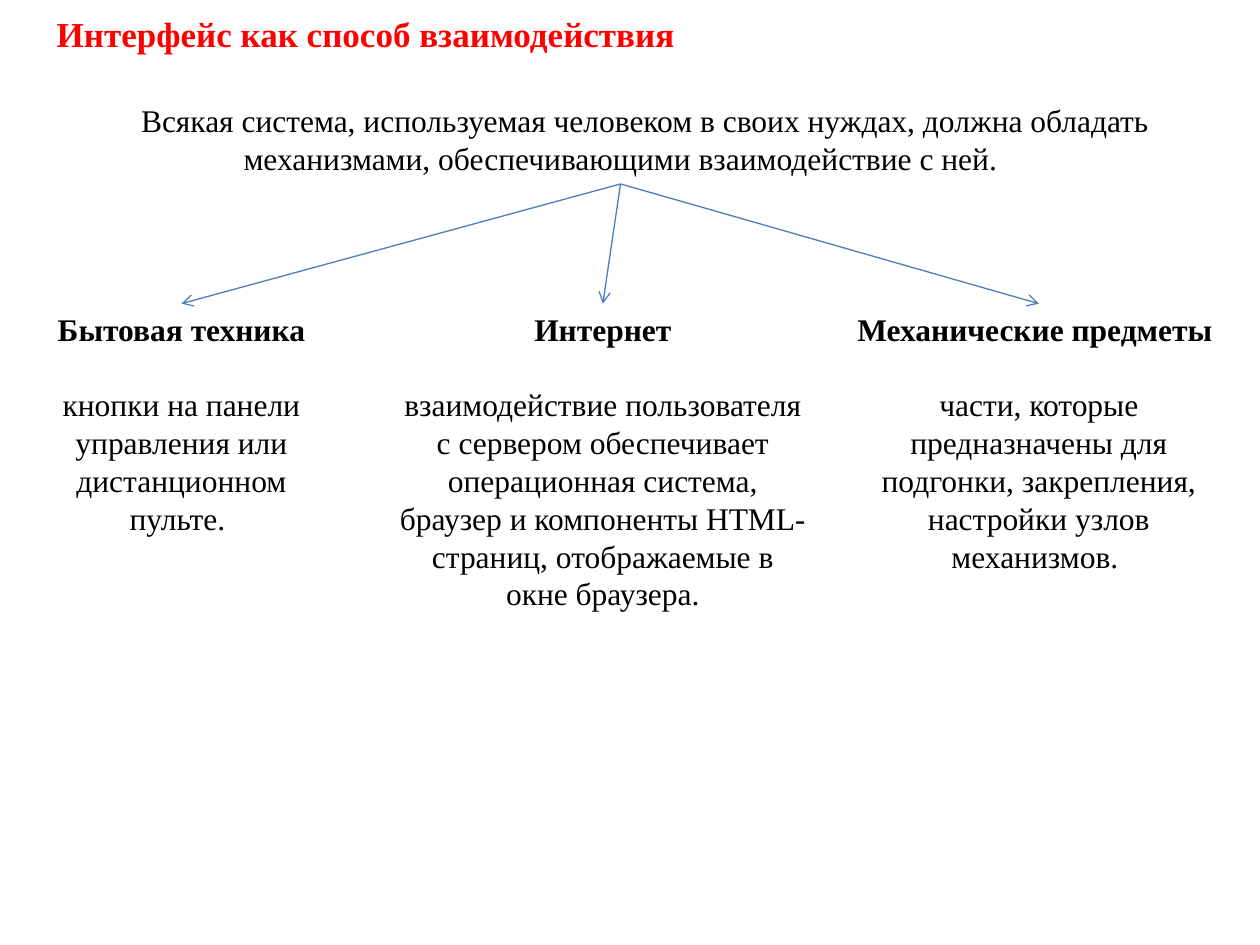
"""Build a slide on the interface as a means of interaction, with three examples."""
from dataclasses import dataclass
from typing import NamedTuple

from lxml import etree
from pptx import Presentation
from pptx.dml.color import RGBColor
from pptx.enum.shapes import MSO_CONNECTOR
from pptx.enum.text import MSO_ANCHOR, MSO_AUTO_SIZE, PP_ALIGN
from pptx.oxml.ns import qn
from pptx.shapes.base import BaseShape
from pptx.slide import Slide
from pptx.text.text import TextFrame
from pptx.util import Inches, Length, Pt

STRAIGHT = MSO_CONNECTOR.STRAIGHT
TOP = MSO_ANCHOR.TOP
FIT_SHAPE = MSO_AUTO_SIZE.SHAPE_TO_FIT_TEXT
LEFT, CENTER = PP_ALIGN.LEFT, PP_ALIGN.CENTER
TITLE_ONLY = 5
TOP_SIDE, BOTTOM_SIDE = 0, 2


@dataclass(frozen=True)
class Theme:
    """Colours, font and sizes of the slide."""

    font: str = "Times New Roman"
    title_color: RGBColor = RGBColor(0xFF, 0x00, 0x00)
    text_color: RGBColor = RGBColor(0x00, 0x00, 0x00)
    arrow_color: RGBColor = RGBColor(0x4B, 0x7E, 0xBC)
    title_size: Length = Pt(20)
    text_size: Length = Pt(18)
    heading_gap: Length = Pt(21.6)
    arrow_width: Length = Pt(0.75)


class Box(NamedTuple):
    """Position and size in inches."""

    left: float
    top: float
    width: float
    height: float


class Example(NamedTuple):
    """A kind of system and the interface it offers."""

    box: Box
    heading: str
    description: str


THEME = Theme()
EXAMPLE_TOP = 2.41
TITLE = "Интерфейс как способ взаимодействия"
TITLE_BOX = Box(0.35, 0.05, 5.14, 0.44)
STATEMENT = (
    "Всякая система, используемая человеком в своих нуждах, должна обладать "
    "механизмами, обеспечивающими взаимодействие с ней."
)
STATEMENT_BOX = Box(0.12, 0.75, 9.61, 0.71)
EXAMPLES = (
    Example(
        Box(0.18, EXAMPLE_TOP, 2.52, 1.92),
        "Бытовая техника",
        "кнопки на панели управления или дистанционном пульте. ",
    ),
    Example(
        Box(3.07, EXAMPLE_TOP, 3.43, 2.52),
        "Интернет",
        "взаимодействие пользователя с сервером обеспечивает операционная система, "
        "браузер и компоненты НТМL-страниц, отображаемые в окне браузера.",
    ),
    Example(
        Box(6.65, EXAMPLE_TOP, 3.19, 2.22),
        "Механические предметы ",
        "части, которые предназначены для подгонки, закрепления, настройки узлов "
        "механизмов. ",
    ),
)


def write(
    frame: TextFrame,
    text: str,
    *,
    size: Length = THEME.text_size,
    color: RGBColor = THEME.text_color,
    bold: bool = False,
    align: PP_ALIGN = CENTER,
    first_indent: Length = Inches(0),
    space_after: Length = Pt(0),
) -> None:
    """Write one formatted paragraph, filling the empty first one if there is one."""
    paragraph = frame.add_paragraph() if frame.text else frame.paragraphs[0]
    paragraph.alignment = align
    paragraph.space_after = space_after
    if first_indent:
        paragraph._p.get_or_add_pPr().set("indent", str(first_indent))
    run = paragraph.add_run()
    run.text = text
    run.font.name = THEME.font
    run.font.size = size
    run.font.bold = bold
    run.font.color.rgb = color


def add_title(slide: Slide) -> None:
    """Place and fill the title placeholder."""
    title = slide.shapes.title
    title.left, title.top, title.width, title.height = map(Inches, TITLE_BOX)
    frame = title.text_frame
    frame.word_wrap = False
    frame.auto_size = FIT_SHAPE
    frame.vertical_anchor = TOP
    write(frame, TITLE, size=THEME.title_size, color=THEME.title_color,
          bold=True, align=LEFT)


def add_text_box(slide: Slide, box: Box) -> BaseShape:
    """Add an empty wrapping text box."""
    text_box = slide.shapes.add_textbox(*map(Inches, box))
    text_box.text_frame.word_wrap = True
    text_box.text_frame.auto_size = FIT_SHAPE
    return text_box


def add_statement(slide: Slide) -> BaseShape:
    """Add the general statement."""
    statement = add_text_box(slide, STATEMENT_BOX)
    write(statement.text_frame, STATEMENT, first_indent=Inches(0.39))
    return statement


def add_example(slide: Slide, example: Example) -> BaseShape:
    """Add a heading with its description."""
    column = add_text_box(slide, example.box)
    write(column.text_frame, example.heading, bold=True,
          space_after=THEME.heading_gap)
    write(column.text_frame, example.description)
    return column


def add_arrow(slide: Slide, source: BaseShape, target: BaseShape) -> None:
    """Join the bottom of one shape to the top of another with an arrow."""
    arrow = slide.shapes.add_connector(STRAIGHT, 0, 0, 0, 0)
    arrow.begin_connect(source, BOTTOM_SIDE)
    arrow.end_connect(target, TOP_SIDE)
    arrow.line.color.rgb = THEME.arrow_color
    arrow.line.width = THEME.arrow_width
    etree.SubElement(arrow.line._get_or_add_ln(), qn("a:tailEnd"), type="arrow")
    etree.SubElement(arrow._element.spPr, qn("a:effectLst"))


def main() -> None:
    """Build and save the presentation."""
    presentation = Presentation()
    presentation.slide_width = Inches(10)
    presentation.slide_height = Inches(7.5)
    slide = presentation.slides.add_slide(presentation.slide_layouts[TITLE_ONLY])
    add_title(slide)
    statement = add_statement(slide)
    columns = [add_example(slide, example) for example in EXAMPLES]
    for column in columns:
        add_arrow(slide, statement, column)
    presentation.save("out.pptx")


if __name__ == "__main__":
    main()
